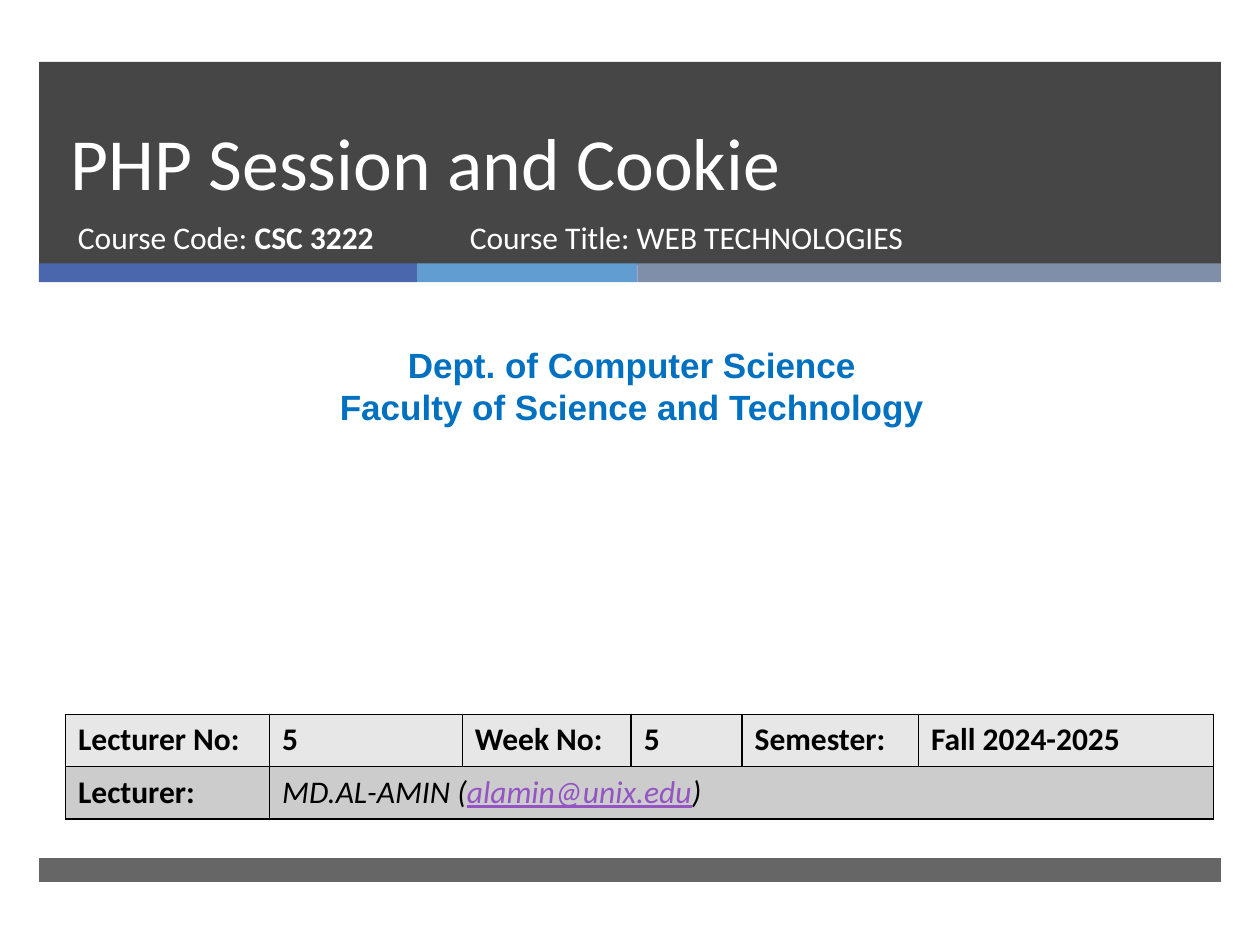
import pptx
import pptx.dml.color
import pptx.enum.shapes
import pptx.enum.text
import pptx.oxml
import pptx.oxml.ns
import pptx.util
from dataclasses import dataclass

Inches = pptx.util.Inches
Pt = pptx.util.Pt
ALIGN = pptx.enum.text.PP_ALIGN
ANCHOR = pptx.enum.text.MSO_ANCHOR
RECT = pptx.enum.shapes.MSO_SHAPE.RECTANGLE


@dataclass(frozen=True)
class Theme:
    dark: str = "262626"
    white: str = "FFFFFF"
    black: str = "000000"
    accents: tuple = ("4A66AC", "629DD1", "7F8FA9")
    dept: str = "0070C0"
    link: str = "9454C3"
    rows: tuple = ("E7E7E7", "CCCCCC")
    title_size: int = 42
    title_leading: int = 46
    dept_size: int = 20
    body_size: int = 18
    font: str = "Calibri"
    dept_font: str = "Arial"


T = Theme()
BODY = {"name": T.font, "size": Pt(T.body_size)}
ON_DARK = {**BODY, "color": T.white}
ON_LIGHT = {**BODY, "color": T.black}


def rgb(color):
    return pptx.dml.color.RGBColor.from_string(color)


def xml(tag, attrs="", inner=""):
    ns = pptx.oxml.ns.nsdecls("a")
    return pptx.oxml.parse_xml(f"<a:{tag} {ns} {attrs}>{inner}</a:{tag}>")


def add_run(p, text, fmt):
    r = p.add_run()
    r.text = text
    for key, value in fmt.items():
        if key == "color":
            r.font.color.rgb = rgb(value)
        else:
            setattr(r.font, key, value)


def fill_text(tf, paragraphs, align=ALIGN.LEFT):
    for i, runs in enumerate(paragraphs):
        p = tf.add_paragraph() if i else tf.paragraphs[0]
        p.alignment = align
        for text, fmt in runs:
            add_run(p, text, fmt)


def add_text(s, box, paragraphs, align=ALIGN.LEFT):
    tf = s.shapes.add_textbox(*map(Inches, box)).text_frame
    tf.word_wrap = True
    fill_text(tf, paragraphs, align)


def add_bar(s, box, color, opacity=100):
    sp = s.shapes.add_shape(RECT, *map(Inches, box))
    sp.shadow.inherit = False
    sp.fill.solid()
    sp.fill.fore_color.rgb = rgb(color)
    sp.line.fill.background()
    if opacity < 100:
        clr = sp.fill._xPr.find(".//" + pptx.oxml.ns.qn("a:srgbClr"))
        clr.append(xml("alpha", f'val="{opacity * 1000}"'))


def add_header(s, box):
    x, y, w, h = box
    strip = 0.15
    add_bar(s, (x, y, w, h), T.dark, 85)
    left = x
    for width, color in zip((3, 1.75, w - 4.75), T.accents):
        add_bar(s, (left, y + h - 0.01, width, strip), color)
        left += width

    title = s.shapes.title
    s.shapes._spTree.append(title._element)
    geometry = dict(zip(("left", "top", "width", "height"), (x + 0.15, y, 8.54, 1.19)))
    for key, value in geometry.items():
        setattr(title, key, Inches(value))
    tf = title.text_frame
    settings = {"word_wrap": True, "vertical_anchor": ANCHOR.BOTTOM,
                "auto_size": pptx.enum.text.MSO_AUTO_SIZE.NONE}
    for key, value in settings.items():
        setattr(tf, key, value)
    fmt = {**ON_DARK, "size": Pt(T.title_size)}
    fill_text(tf, [[("PHP Session and Cookie", fmt)]])
    tf.paragraphs[0].line_spacing = Pt(T.title_leading)

    code = [("Course Code: ", ON_DARK), ("CSC 3222", {**ON_DARK, "bold": True})]
    course = [("Course Title: WEB TECHNOLOGIES", ON_DARK)]
    add_text(s, (x + 0.21, y + 1.19, 3.05, 0.53), [code])
    add_text(s, (x + 3.32, y + 1.19, 4.55, 0.53), [course])


def add_department(s, box):
    fmt = {"name": T.dept_font, "size": Pt(T.dept_size), "bold": True, "color": T.dept}
    lines = ("Dept. of Computer Science", "Faculty of Science and Technology")
    add_text(s, box, [[(line, fmt)] for line in lines], ALIGN.CENTER)


def add_borders(cell):
    pr = cell._tc.get_or_add_tcPr()
    line = f'<a:solidFill><a:srgbClr val="{T.black}"/></a:solidFill>'
    for i, side in enumerate(("lnL", "lnR", "lnT", "lnB")):
        pr.insert(i, xml(side, f'w="{Pt(1)}"', line))


def add_details(s, box):
    bold = {**ON_LIGHT, "bold": True}
    italic = {**ON_LIGHT, "italic": True}
    labels = ("Lecturer No:", "5", "Week No:", "5", "Semester:", "Fall 2024-2025")
    lecturer = [("MD.AL-AMIN (", italic),
                ("alamin@unix.edu", {**italic, "color": T.link, "underline": True}),
                (")", italic)]
    rows = [[[(label, bold)] for label in labels],
            [[("Lecturer:", bold)], lecturer]]
    widths = (1.62, 1.53, 1.34, 0.88, 1.4, 2.34)

    table = s.shapes.add_table(len(rows), len(widths), *map(Inches, box)).table
    for column, width in zip(table.columns, widths):
        column.width = Inches(width)
    for i, color in enumerate(T.rows):
        for cell in table.rows[i].cells:
            cell.fill.solid()
            cell.fill.fore_color.rgb = rgb(color)
            add_borders(cell)
        for j, runs in enumerate(rows[i]):
            fill_text(table.cell(i, j).text_frame, [runs])
    table.cell(1, 1).merge(table.cell(1, len(widths) - 1))


def main():
    prs = pptx.Presentation()
    prs.slide_width, prs.slide_height = Inches(10), Inches(7.5)
    s = prs.slides.add_slide(prs.slide_layouts[5])
    add_header(s, (0.31, 0.49, 9.38, 1.61))
    add_department(s, (0.08, 2.68, 9.87, 0.77))
    add_details(s, (0.52, 5.67, 9.12, 0.83))
    add_bar(s, (0.31, 6.81, 9.38, 0.19), T.dark, 70)
    prs.save("out.pptx")


if __name__ == "__main__":
    main()
